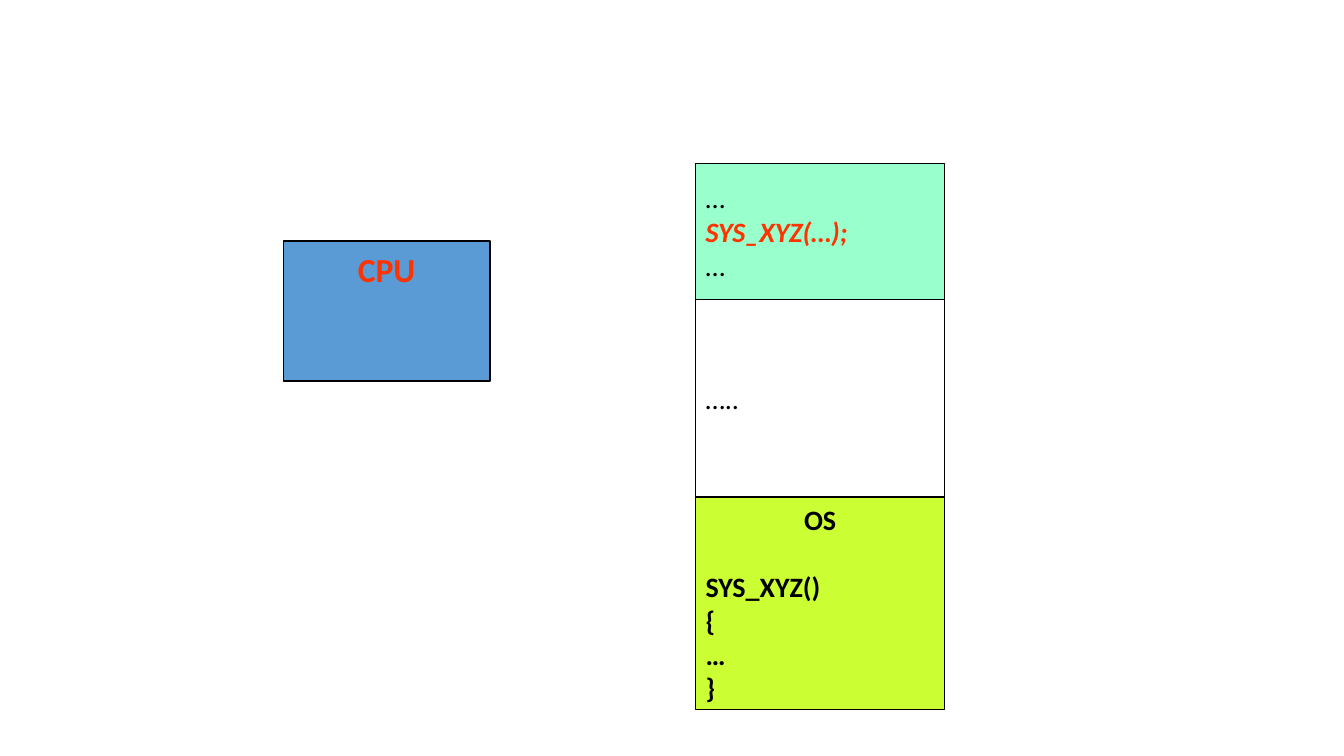
from dataclasses import dataclass
from typing import Optional

from pptx import Presentation
from pptx.dml.color import RGBColor
from pptx.enum.shapes import MSO_SHAPE
from pptx.enum.text import MSO_ANCHOR, PP_ALIGN
from pptx.util import Inches, Pt

SLIDE_WIDTH, SLIDE_HEIGHT = 13.33, 7.5


@dataclass(frozen=True)
class Theme:
    font: str = "Calibri"
    body_size: float = 20
    label_size: float = 24
    blank_line: float = 24.4
    line_width: float = 1
    ink: str = "000000"
    accent: str = "FF3300"
    program: str = "99FFCC"
    system: str = "CCFF33"
    processor: str = "5B9BD5"


THEME = Theme()


@dataclass(frozen=True)
class Line:
    text: str
    color: str = THEME.ink
    size: float = THEME.body_size
    bold: bool = False
    italic: bool = False
    centered: bool = False
    space_before: float = 0


@dataclass(frozen=True)
class Block:
    """A filled box; its height is a percentage of the slide height."""
    height: float
    fill: Optional[str]
    lines: tuple[Line, ...]
    anchor: MSO_ANCHOR = MSO_ANCHOR.MIDDLE


# Memory column, from top to bottom
MEMORY_LEFT, MEMORY_TOP, MEMORY_WIDTH = 51.76, 21.6, 18.53
MEMORY = (
    Block(18, THEME.program, (
        Line("…"),
        Line("SYS_XYZ(…);", THEME.accent, bold=True, italic=True),
        Line("…"),
    )),
    Block(26.13, None, (Line("….."),)),
    Block(28.13, THEME.system, (
        Line("OS", bold=True, centered=True),
        Line("SYS_XYZ()", bold=True, space_before=THEME.blank_line),
        *(Line(text, bold=True) for text in ("{", "…", "}")),
    )),
)

# Processor box
CPU_LEFT, CPU_TOP, CPU_WIDTH = 21.08, 31.87, 15.38
CPU = Block(18.53, THEME.processor, (
    Line("CPU", THEME.accent, THEME.label_size, bold=True, centered=True),
), MSO_ANCHOR.TOP)


def across(percent: float) -> int:
    return Inches(SLIDE_WIDTH * percent / 100)


def down(percent: float) -> int:
    return Inches(SLIDE_HEIGHT * percent / 100)


def write_line(paragraph, line: Line) -> None:
    paragraph.alignment = PP_ALIGN.CENTER if line.centered else PP_ALIGN.LEFT
    if line.space_before:
        paragraph.space_before = Pt(line.space_before)
    run = paragraph.add_run()
    run.text = line.text
    font_format = {
        "name": THEME.font,
        "size": Pt(line.size),
        "bold": line.bold,
        "italic": line.italic,
    }
    for name, value in font_format.items():
        setattr(run.font, name, value)
    run.font.color.rgb = RGBColor.from_string(line.color)


def draw_block(slide, block: Block, left: float, top: float, width: float) -> None:
    shape = slide.shapes.add_shape(
        MSO_SHAPE.RECTANGLE, across(left), down(top), across(width), down(block.height))
    shape.shadow.inherit = False
    if block.fill is None:
        shape.fill.background()
    else:
        shape.fill.solid()
        shape.fill.fore_color.rgb = RGBColor.from_string(block.fill)
    shape.line.color.rgb = RGBColor.from_string(THEME.ink)
    shape.line.width = Pt(THEME.line_width)

    text_frame = shape.text_frame
    frame_format = {
        "word_wrap": True,
        "vertical_anchor": block.anchor,
        "margin_top": Inches(0.08),
        "margin_bottom": Inches(0.08),
    }
    if block.anchor == MSO_ANCHOR.MIDDLE:
        frame_format |= {"margin_top": Inches(0.05), "margin_bottom": Inches(0.05)}
    for name, value in frame_format.items():
        setattr(text_frame, name, value)
    for index, line in enumerate(block.lines):
        paragraph = text_frame.add_paragraph() if index else text_frame.paragraphs[0]
        write_line(paragraph, line)


def main() -> None:
    presentation = Presentation()
    presentation.slide_width = Inches(SLIDE_WIDTH)
    presentation.slide_height = Inches(SLIDE_HEIGHT)
    slide = presentation.slides.add_slide(presentation.slide_layouts[6])

    # Stack the memory blocks, each starting where the last one ends
    top = MEMORY_TOP
    for block in MEMORY:
        draw_block(slide, block, MEMORY_LEFT, top, MEMORY_WIDTH)
        top += block.height

    draw_block(slide, CPU, CPU_LEFT, CPU_TOP, CPU_WIDTH)
    presentation.save("out.pptx")


if __name__ == "__main__":
    main()
